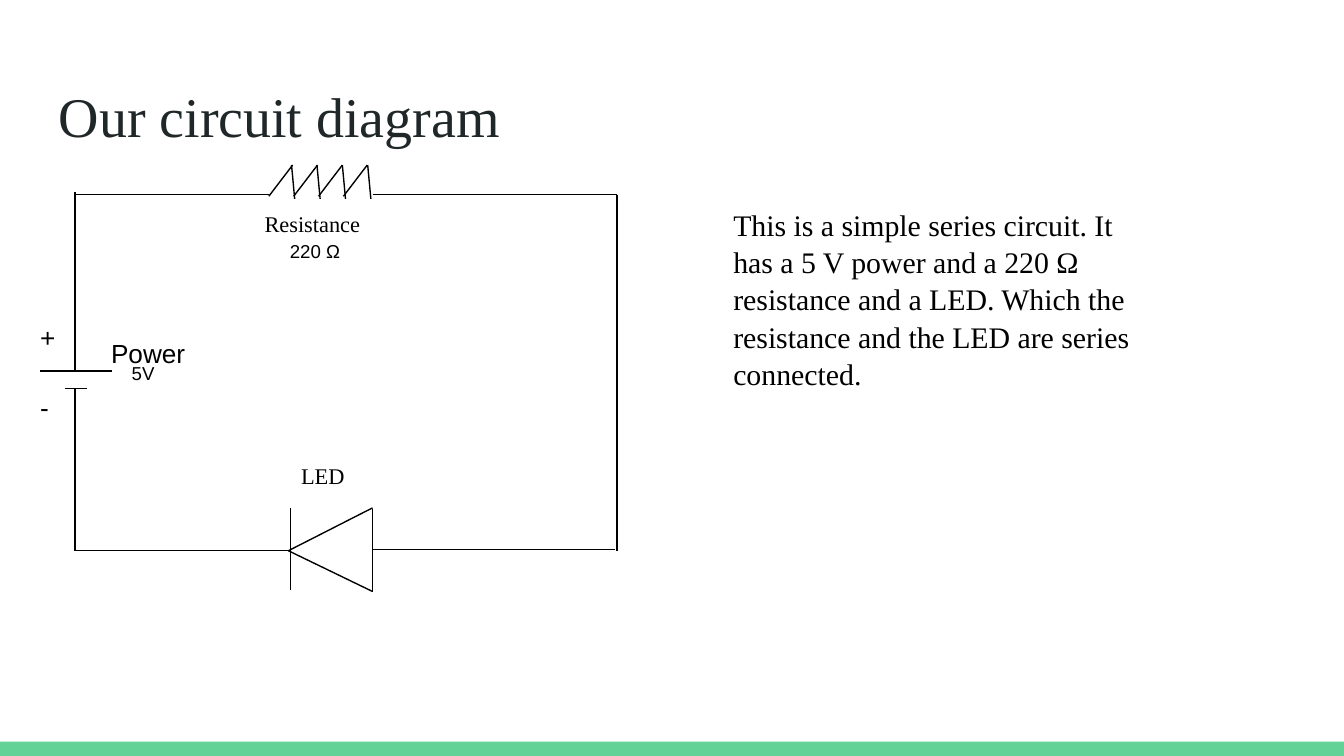
from lxml import etree
from pptx import Presentation
from pptx.dml.color import RGBColor
from pptx.enum.shapes import MSO_CONNECTOR, MSO_SHAPE
from pptx.enum.text import MSO_ANCHOR
from pptx.oxml.ns import qn
from pptx.util import Cm, Pt

STRAIGHT = MSO_CONNECTOR.STRAIGHT
RECT = MSO_SHAPE.RECTANGLE
TOP, MIDDLE = MSO_ANCHOR.TOP, MSO_ANCHOR.MIDDLE

BLACK = RGBColor(0x00, 0x00, 0x00)
DARK = RGBColor(0x20, 0x27, 0x29)
GREEN = RGBColor(0x63, 0xD2, 0x97)
SERIF, SANS = "Times New Roman", "Arial"


class Page:
    """Draws on one slide; all lengths are in centimetres."""

    inset = Cm(0.25)
    stroke = Pt(0.75)

    def __init__(self, slide):
        self.shapes = slide.shapes

    def bar(self, x, y, w, h, color):
        shape = self.shapes.add_shape(RECT, Cm(x), Cm(y), Cm(w), Cm(h))
        shape.shadow.inherit = False
        shape.fill.solid()
        shape.fill.fore_color.rgb = color
        shape.line.fill.background()

    def line(self, x1, y1, x2, y2):
        wire = self.shapes.add_connector(STRAIGHT, Cm(x1), Cm(y1), Cm(x2), Cm(y2))
        wire.line.color.rgb = BLACK
        wire.line.width = self.stroke
        etree.SubElement(wire._element.spPr, qn("a:effectLst"))

    def text(self, words, x, y, w, h, size, font, color=BLACK, anchor=TOP, pitch=1.0):
        frame = self.shapes.add_textbox(Cm(x), Cm(y), Cm(w), Cm(h)).text_frame
        frame.word_wrap = True
        frame.vertical_anchor = anchor
        frame.margin_left = frame.margin_right = self.inset
        frame.margin_top = frame.margin_bottom = self.inset
        frame.text = words
        para = frame.paragraphs[0]
        para.line_spacing = pitch
        style = para.runs[0].font
        style.size, style.name = Pt(size), font
        style.color.rgb = color


def main():
    deck = Presentation()
    deck.slide_width, deck.slide_height = Cm(25.4), Cm(14.29)
    page = Page(deck.slides.add_slide(deck.slide_layouts[6]))

    # Footer bar and title
    page.bar(0, 14.02, 25.4, 0.27, GREEN)
    page.text("Our circuit diagram", 0.86, 1.24, 23.67, 1.88, 30, SERIF, DARK, MIDDLE)

    # Wires around the loop
    left, right, top, base = 1.42, 11.66, 3.68, 10.41
    plus, minus = 7.01, 7.34
    bar, back = 5.49, 7.04
    for ends in (
        (left, 3.63, left, plus),
        (left, minus, left, base),
        (left, base, bar, base),
        (left, top, 5.08, top),
        (right, top, right, base),
        (back, top, right, top),
        (11.63, 10.39, back, 10.39),
    ):
        page.line(*ends)

    # Battery plates
    page.line(0.76, plus, 2.11, plus)
    page.line(1.22, minus, 1.65, minus)

    # LED: back edge, two slanted sides, bar
    page.line(back, 9.63, back, 11.2)
    page.line(5.45, base, back, 9.6)
    page.line(5.45, base, back, 11.18)
    page.line(bar, 9.6, bar, 11.15)

    # Resistor: four teeth, each rising and falling
    for i in range(4):
        rise, fall = 5.08 + 0.47 * i, 5.51 + 0.48 * i
        page.line(rise, 3.71, rise + 0.45, 3.12)
        page.line(fall, 3.12, fall + 0.06, 3.76)

    # Labels
    for label in (
        ("Resistance", 4.75, 3.73, 3.02, 1.04, 12, SERIF),
        ("220 Ω", 5.23, 4.32, 1.57, 1.04, 10, SANS),
        ("LED", 5.44, 8.48, 1.57, 0.76, 12, SERIF),
        ("Power", 1.85, 6.12, 2.29, 0.71, 14, SANS),
        ("5V", 2.24, 6.63, 1.02, 0.79, 10, SANS),
        ("+", 0.51, 5.82, 0.71, 0.56, 14, SANS),
        ("-", 0.51, 7.14, 0.71, 0.56, 14, SANS),
    ):
        page.text(*label)

    # Description
    page.text(
        "This is a simple series circuit. It has a 5 V power and a 220 Ω "
        "resistance and a LED. Which the resistance and the LED are series connected.",
        13.61, 3.63, 8.1, 6.73, 16, SERIF, pitch=1.04,
    )

    deck.save("out.pptx")


if __name__ == "__main__":
    main()
